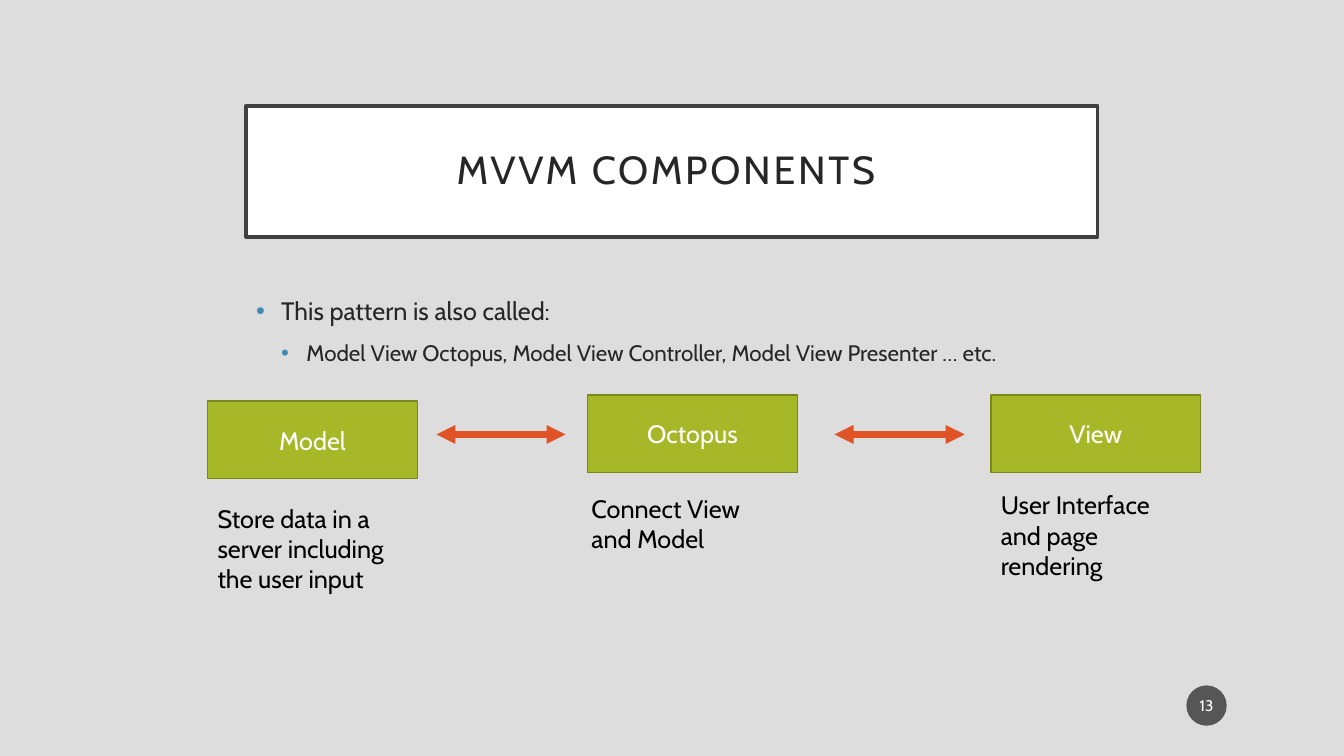
from lxml.etree import SubElement
from pptx import Presentation
from pptx.dml.color import RGBColor
from pptx.enum.shapes import MSO_CONNECTOR as Connector, MSO_SHAPE as Shape
from pptx.enum.text import MSO_ANCHOR as Anchor, MSO_AUTO_SIZE as AutoSize, PP_ALIGN as Align
from pptx.oxml.ns import qn
from pptx.util import Inches, Pt

COLORS = {
    "background": "DDDDDD", "white": "FFFFFF", "black": "000000",
    "text": "262626", "frame": "404040", "bullet": "418AB3", "badge": "1D1D1D",
    "box": "A6B727", "box_line": "7B871D", "arrow": "DF5327",
}
FONT = "Cabin"
WIDTH, HEIGHT = Inches(13.33), Inches(7.5)
COLUMNS, ROWS = 160, 90
BOX_WIDTH, BOX_HEIGHT = 24.96, 9.24
COMPONENTS = [
    ("Model", (24.72, 47.76), "Store data in a server including the user input", (24.72, 59.28), 12.12),
    ("Octopus", (69.96, 47.04), "Connect View and Model", (69.24, 58.08), 8.52),
    ("View", (117.96, 47.04), "User Interface and page rendering", (117.96, 57.72), 8.52),
]
ARROWS = [(51.96, 67.32), (114.84, 99.36)]
ARROW_ROW = 51.72
BULLETS = [
    ("This pattern is also called:", 18),
    ("Model View Octopus, Model View Controller, Model View Presenter … etc.", 16),
]


def color(name):
    """Return the named colour."""
    return RGBColor.from_string(COLORS[name])


def grid(column, row, *size):
    """Turn columns and rows of the grid into slide lengths."""
    place = [int(WIDTH * column / COLUMNS), int(HEIGHT * row / ROWS)]
    return place + grid(*size) if size else place


def move(shape, *cells):
    """Place a shape on the grid."""
    shape.left, shape.top, shape.width, shape.height = grid(*cells)


def paint(shape, fill, line=None, width=1):
    """Set the fill and outline of a shape."""
    shape.fill.solid()
    shape.fill.fore_color.rgb = color(fill)
    if line:
        shape.line.color.rgb = color(line)
        shape.line.width = Pt(width)
    else:
        shape.line.fill.background()


def style(paragraph, size, ink, align=Align.LEFT):
    """Set the font and alignment of a paragraph."""
    paragraph.alignment = align
    font = paragraph.font
    font.name, font.size, font.color.rgb = FONT, Pt(size), color(ink)


def add_bullet(paragraph, level):
    """Give a paragraph a coloured bullet and hanging indent."""
    paragraph.level = level
    properties = paragraph._p.get_or_add_pPr()
    properties.set("marL", str(Inches(0.25 * (level + 1))))
    properties.set("indent", str(Inches(-0.25)))
    bullet_color = SubElement(properties, qn("a:buClr"))
    SubElement(bullet_color, qn("a:srgbClr"), val=COLORS["bullet"])
    SubElement(properties, qn("a:buFont"), typeface="Arial")
    SubElement(properties, qn("a:buChar"), char="•")


def fill_title(title):
    """Frame and write the title."""
    move(title, 29.28, 12.6, 101.4, 15.6)
    paint(title, "white", "frame", 2.5)
    frame = title.text_frame
    frame.text = "MVVM COMPONENTS "
    frame.auto_size, frame.vertical_anchor = AutoSize.NONE, Anchor.MIDDLE
    frame.margin_left = frame.margin_right = Inches(0.2)
    frame.margin_top = frame.margin_bottom = Inches(0.2)
    paragraph = frame.paragraphs[0]
    paragraph.line_spacing = 0.9
    style(paragraph, 28, "text", Align.CENTER)
    paragraph.font._element.set("spc", "200")


def fill_body(body):
    """Write the bulleted list."""
    move(body, 29.28, 34.56, 101.4, 40.68)
    frame = body.text_frame
    frame.text = "\n".join(text for text, _ in BULLETS)
    frame.auto_size = AutoSize.NONE
    for level, (paragraph, (_, size)) in enumerate(zip(frame.paragraphs, BULLETS)):
        add_bullet(paragraph, level)
        paragraph.space_before = Pt(10)
        style(paragraph, size, "text")


def add_label(slide, kind, text, size, *cells):
    """Add a preset shape with centred white text."""
    shape = slide.shapes.add_shape(kind, *grid(*cells))
    shape.shadow.inherit = False
    frame = shape.text_frame
    frame.text = text
    frame.vertical_anchor = Anchor.MIDDLE
    style(frame.paragraphs[0], size, "white", Align.CENTER)
    return shape


def add_caption(slide, text, *cells):
    """Add a wrapped description."""
    frame = slide.shapes.add_textbox(*grid(*cells)).text_frame
    frame.text = text
    frame.word_wrap, frame.auto_size = True, AutoSize.SHAPE_TO_FIT_TEXT
    style(frame.paragraphs[0], 18, "black")


def add_arrow(slide, start, end):
    """Add a level double-headed arrow."""
    ends = grid(start, ARROW_ROW) + grid(end, ARROW_ROW)
    arrow = slide.shapes.add_connector(Connector.STRAIGHT, *ends)
    arrow.line.color.rgb, arrow.line.width = color("arrow"), Pt(4.5)
    line = arrow.line._get_or_add_ln()
    for tag in ("a:headEnd", "a:tailEnd"):
        SubElement(line, qn(tag), type="triangle")
    SubElement(arrow._element.spPr, qn("a:effectLst"))


def add_page_number(slide, number):
    """Add the translucent page number badge."""
    badge = add_label(slide, Shape.OVAL, number, 11, 141.24, 81.6, 4.8, 4.8)
    paint(badge, "badge")
    badge.text_frame.margin_left = badge.text_frame.margin_right = Inches(0.02)
    fill = badge._element.spPr.find(qn("a:solidFill"))
    SubElement(fill[0], qn("a:alpha"), val="70000")


def main():
    """Build and save the slide."""
    presentation = Presentation()
    presentation.slide_width, presentation.slide_height = WIDTH, HEIGHT
    slide = presentation.slides.add_slide(presentation.slide_layouts[1])
    slide.background.fill.solid()
    slide.background.fill.fore_color.rgb = color("background")
    fill_title(slide.shapes.title)
    fill_body(slide.placeholders[1])
    add_page_number(slide, "13")
    for name, place, caption, caption_place, caption_height in COMPONENTS:
        box = add_label(slide, Shape.RECTANGLE, name, 18, *place, BOX_WIDTH, BOX_HEIGHT)
        paint(box, "box", "box_line")
        add_caption(slide, caption, *caption_place, BOX_WIDTH, caption_height)
    for start, end in ARROWS:
        add_arrow(slide, start, end)
    presentation.save("out.pptx")


if __name__ == "__main__":
    main()
